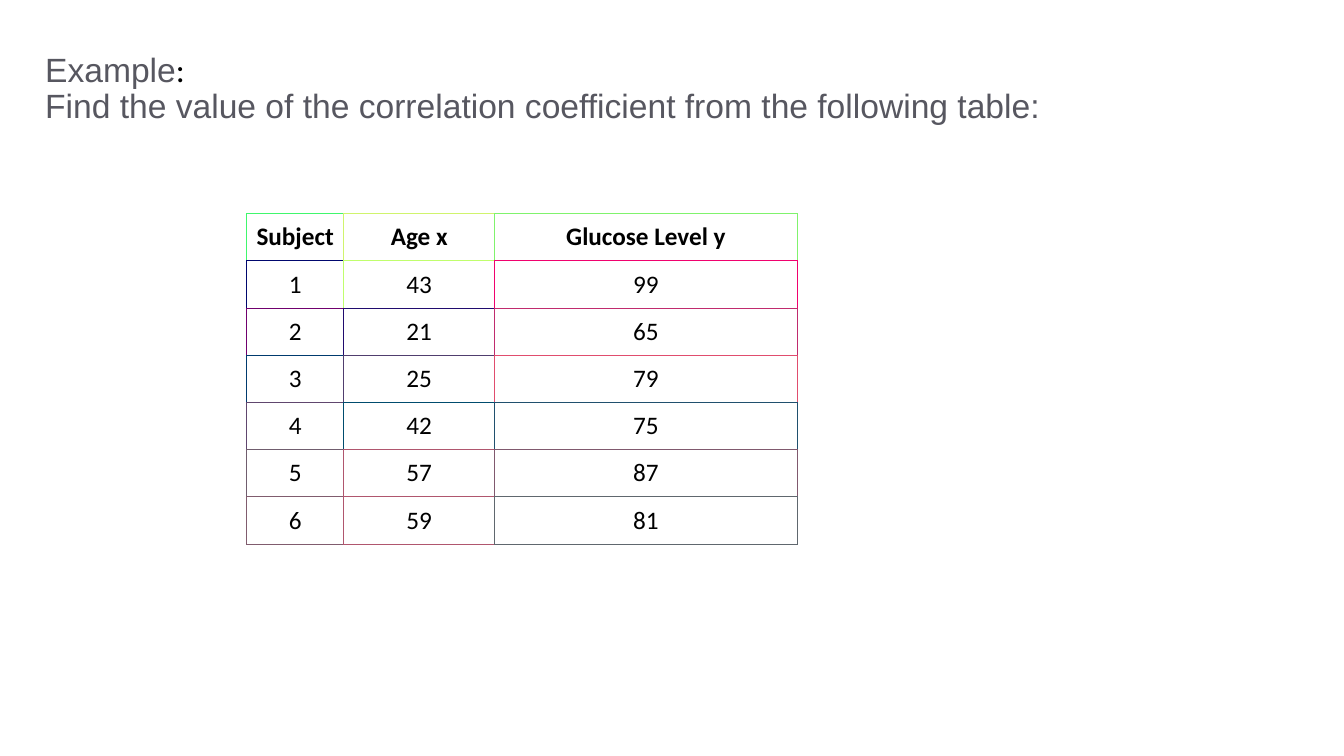
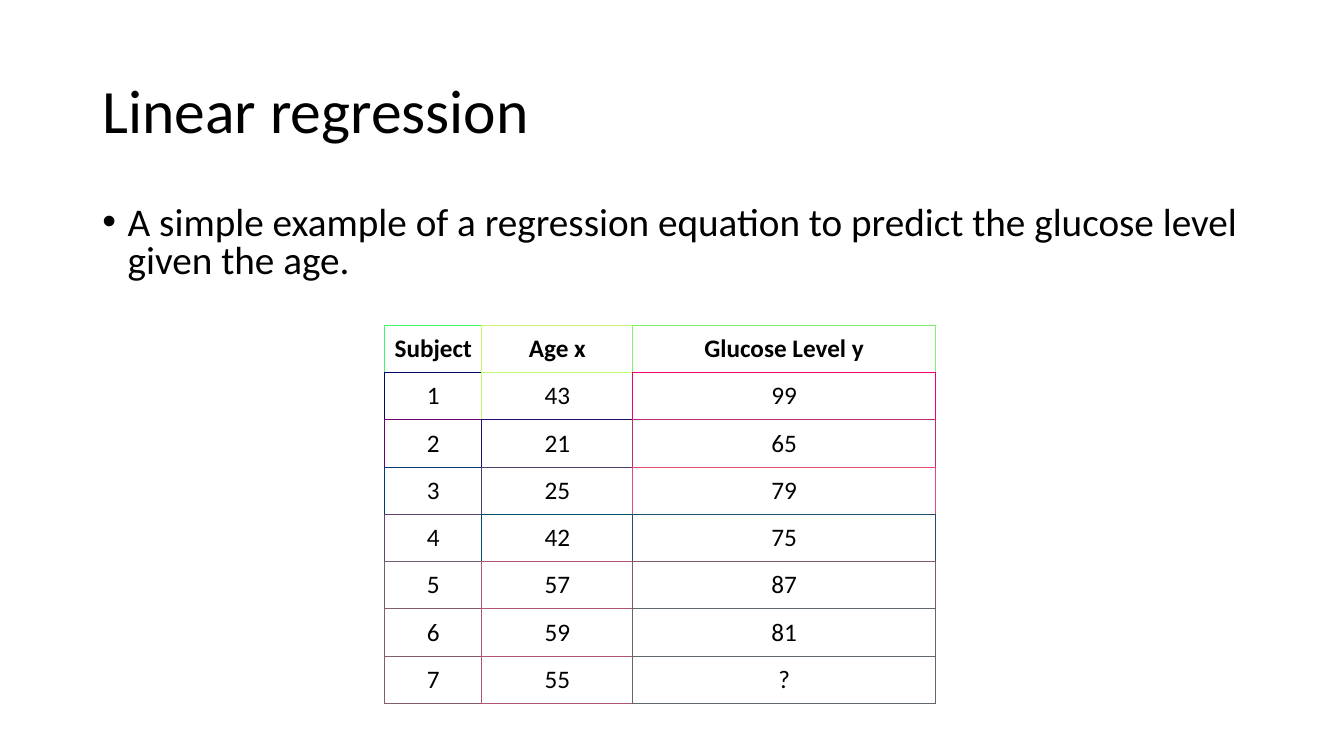
import dataclasses

import pptx
import pptx.dml.color
import pptx.enum.text
import pptx.oxml
import pptx.oxml.ns
import pptx.util

Cm = pptx.util.Cm
Pt = pptx.util.Pt
PP_ALIGN = pptx.enum.text.PP_ALIGN
ANCHOR = pptx.enum.text.MSO_ANCHOR


@dataclasses.dataclass(frozen=True)
class Theme:
    # Fonts
    font: str = "Calibri"
    task_font: str = "Arial"
    # Colours
    ink: str = "000000"
    task_ink: str = "575760"
    paper: str = "FFFFFF"
    # One edge colour per cell; rows past the end reuse the last row
    edges: tuple = (
        ("40F76D", "D0F46D", "80F36D"),
        ("00076E", "C0FE6D", "F0016E"),
        ("70006E", "200B6E", "C02B6E"),
        ("003A6E", "503E6E", "E04D6E"),
        ("60466E", "004C6E", "20506E"),
        ("705D6E", "B0566E", "80596E"),
        ("805C6E", "B0566E", "60676E"),
    )
    # Type sizes and line width, in points
    title_size: int = 44
    body_size: int = 28
    task_size: int = 24
    cell_size: int = 18
    edge_width: float = 0.75


HEADER = ("Subject", "Age x", "Glucose Level y")
READINGS = [(1, 43, 99), (2, 21, 65), (3, 25, 79),
            (4, 42, 75), (5, 57, 87), (6, 59, 81)]
UNKNOWN = (7, 55, "?")
COLUMN_WIDTHS = (2.44, 3.81, 7.62)
ROW_HEIGHT = 1.19
CELL_MARGIN = 0.21


def write(paragraph, text, *, size, font=Theme.font, color=Theme.ink, bold=False):
    """Add one formatted run to a paragraph."""
    run = paragraph.add_run()
    run.text = text
    run.font.size = Pt(size)
    run.font.name = font
    run.font.bold = bold
    run.font.color.rgb = pptx.dml.color.RGBColor.from_string(color)


class Deck:
    """Holds the style and the slide being built."""

    def __init__(self, theme):
        self.theme = theme
        self.show = pptx.Presentation()
        self.show.slide_width, self.show.slide_height = Cm(33.87), Cm(19.05)
        self.slide = None

    def new_slide(self):
        self.slide = self.show.slides.add_slide(self.show.slide_layouts[6])

    def text_area(self, left, top, width, height, *, anchor, spacing):
        """Add a wrapping text box and return its first paragraph."""
        frame = self.slide.shapes.add_textbox(
            Cm(left), Cm(top), Cm(width), Cm(height)).text_frame
        frame.word_wrap = True
        frame.vertical_anchor = anchor
        paragraph = frame.paragraphs[0]
        paragraph.line_spacing = spacing
        return paragraph

    def title(self, text):
        heading = self.text_area(2.33, 1.01, 29.21, 3.68,
                                 anchor=ANCHOR.MIDDLE, spacing=0.9)
        write(heading, text, size=self.theme.title_size)

    def task(self, label, question):
        theme = self.theme
        task_format = dict(size=theme.task_size, font=theme.task_font,
                           color=theme.task_ink)
        task = self.text_area(0.89, 0.69, 31.24, 3.15,
                              anchor=ANCHOR.MIDDLE, spacing=0.9)
        write(task, label, **task_format)
        write(task, ":", size=theme.task_size)
        task.add_line_break()
        write(task, question, **task_format)

    def bullet(self, text):
        point = self.text_area(2.33, 5.08, 29.21, 2.21,
                               anchor=ANCHOR.TOP, spacing=0.8)
        point.space_before = Pt(10)
        properties = point._p.get_or_add_pPr()
        properties.set("marL", str(Cm(0.64)))
        properties.set("indent", str(-Cm(0.64)))
        namespace = pptx.oxml.ns.nsdecls("a")
        for xml in (f'<a:buFont {namespace} typeface="Arial"/>',
                    f'<a:buChar {namespace} char="•"/>'):
            properties.append(pptx.oxml.parse_xml(xml))
        write(point, text, size=self.theme.body_size)

    def edge_color(self, row, column):
        edges = self.theme.edges
        return edges[min(row, len(edges) - 1)][min(column, len(HEADER) - 1)]

    def draw_edges(self, cell, row, column):
        """Left and top take the cell's colour, right and bottom the neighbour's."""
        own = self.edge_color(row, column)
        sides = {"L": own, "R": self.edge_color(row, column + 1),
                 "T": own, "B": self.edge_color(row + 1, column)}
        properties = cell._tc.get_or_add_tcPr()
        for side, color in sides.items():
            properties.append(pptx.oxml.parse_xml(
                f'<a:ln{side} {pptx.oxml.ns.nsdecls("a")} '
                f'w="{Pt(self.theme.edge_width)}"><a:solidFill>'
                f'<a:srgbClr val="{color}"/></a:solidFill></a:ln{side}>'))

    def readings_table(self, left, top, readings):
        rows = [HEADER, *readings]
        table = self.slide.shapes.add_table(
            len(rows), len(HEADER), Cm(left), Cm(top),
            Cm(sum(COLUMN_WIDTHS)), Cm(ROW_HEIGHT * len(rows))).table
        table.first_row = table.horz_banding = False
        for column, width in zip(table.columns, COLUMN_WIDTHS):
            column.width = Cm(width)
        for r, values in enumerate(rows):
            table.rows[r].height = Cm(ROW_HEIGHT)
            for c, value in enumerate(values):
                self.fill_cell(table.cell(r, c), r, c, value)

    def fill_cell(self, cell, row, column, value):
        self.draw_edges(cell, row, column)
        cell.fill.solid()
        cell.fill.fore_color.rgb = pptx.dml.color.RGBColor.from_string(
            self.theme.paper)
        cell.vertical_anchor = ANCHOR.MIDDLE
        cell.margin_left = cell.margin_right = Cm(CELL_MARGIN)
        cell.margin_top = cell.margin_bottom = Cm(CELL_MARGIN)
        entry = cell.text_frame.paragraphs[0]
        entry.alignment = PP_ALIGN.CENTER
        write(entry, str(value), size=self.theme.cell_size, bold=row == 0)


def main():
    deck = Deck(Theme())

    # Correlation exercise
    deck.new_slide()
    deck.task("Example", "Find the value of the correlation coefficient "
                         "from the following table:")
    deck.readings_table(6.22, 5.38, READINGS)

    # Regression with one value to predict
    deck.new_slide()
    deck.title("Linear regression")
    deck.bullet("A simple example of a regression equation to predict "
                "the glucose level given the age.")
    deck.readings_table(9.7, 8.2, [*READINGS, UNKNOWN])

    deck.show.save("out.pptx")


if __name__ == "__main__":
    main()
